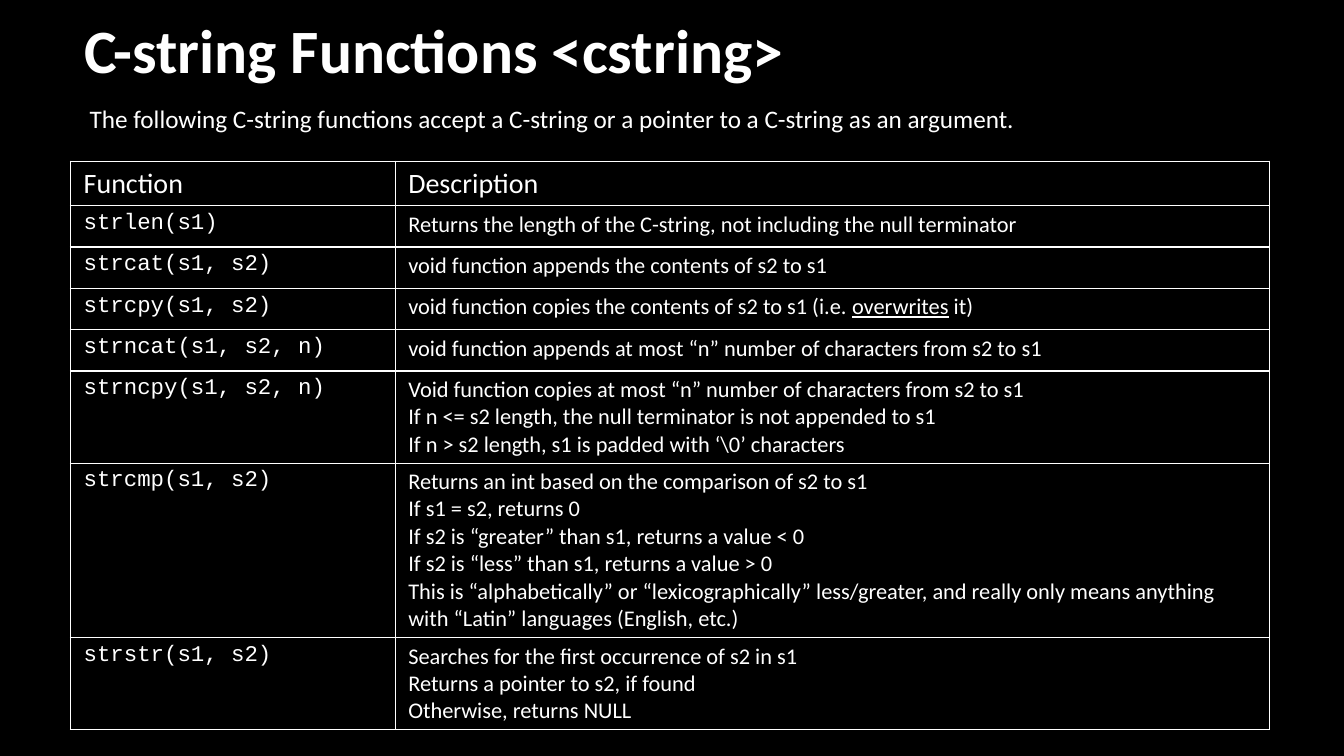
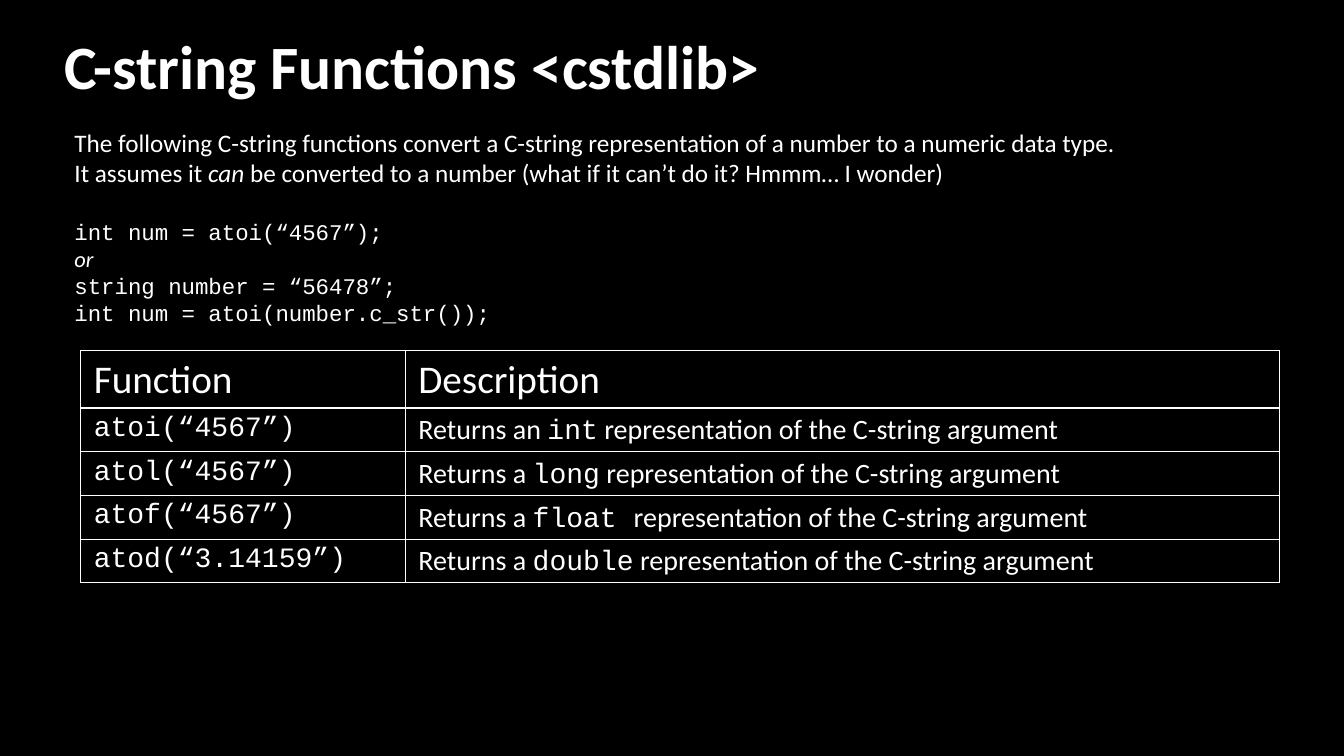
from dataclasses import dataclass

from lxml.etree import SubElement
from pptx import Presentation
from pptx.dml.color import RGBColor
from pptx.enum.text import MSO_ANCHOR
from pptx.oxml.ns import qn
from pptx.util import Inches, Pt

BLACK, WHITE = "000000", "FFFFFF"
BODY_FONT, CODE_FONT = "Calibri", "Courier New"
TITLE_SIZE, INTRO_SIZE, SAMPLE_SIZE = 44, 18, 16
TITLE_BOX = (12.44, 0.91)
COLUMN_WIDTHS = (3.22, 8.67)
ROW_HEIGHT = 0.41
CELL_INSETS = (0.13, 0.05)
BORDER_WIDTH = 1


@dataclass
class Span:
    """A stretch of text that differs from the rest of its line."""
    text: str
    font: str = None
    italic: bool = None
    underline: bool = None


@dataclass
class Line:
    """One paragraph: a list of strings and Spans, with its shared style."""
    spans: list
    size: int
    font: str = BODY_FONT
    bold: bool = None
    italic: bool = None
    spacing: float = None
    before: int = 0


def rgb(hex_colour):
    return RGBColor.from_string(hex_colour)


def write_line(paragraph, line):
    font = paragraph.font
    font.name, font.size = line.font, Pt(line.size)
    font.bold, font.italic = line.bold, line.italic
    font.color.rgb = rgb(WHITE)
    if line.spacing:
        paragraph.line_spacing = line.spacing
    if line.before:
        paragraph.space_before = Pt(line.before)
    for span in line.spans:
        run = paragraph.add_run()
        if isinstance(span, str):
            run.text = span
            continue
        run.text = span.text
        run.font.italic, run.font.underline = span.italic, span.underline
        if span.font:
            run.font.name = span.font


def write_lines(frame, lines):
    for index, line in enumerate(lines):
        paragraph = frame.add_paragraph() if index else frame.paragraphs[0]
        write_line(paragraph, line)


def add_text(slide, box, lines, anchor=MSO_ANCHOR.TOP):
    frame = slide.shapes.add_textbox(*map(Inches, box)).text_frame
    frame.word_wrap = True
    frame.vertical_anchor = anchor
    write_lines(frame, lines)


def add_title(slide, left, top, title):
    add_text(slide, (left, top, *TITLE_BOX),
             [Line([title], TITLE_SIZE, bold=True, spacing=0.9)],
             MSO_ANCHOR.MIDDLE)


# Function tables
def outline_cell(cell):
    properties = cell._tc.get_or_add_tcPr()
    for side in ("a:lnL", "a:lnR", "a:lnT", "a:lnB"):
        border = SubElement(properties, qn(side), w=str(Pt(BORDER_WIDTH)))
        fill = SubElement(border, qn("a:solidFill"))
        SubElement(fill, qn("a:srgbClr"), val=WHITE)


def fill_cell(cell, lines):
    cell.margin_left = cell.margin_right = Inches(CELL_INSETS[0])
    cell.margin_top = cell.margin_bottom = Inches(CELL_INSETS[1])
    outline_cell(cell)
    cell.fill.background()
    write_lines(cell.text_frame, lines)


def add_function_table(slide, left, top, functions, header_size, body_size):
    """functions: pairs of a call and the lines that describe it."""
    row_count = len(functions) + 1
    table = slide.shapes.add_table(
        row_count, len(COLUMN_WIDTHS), Inches(left), Inches(top),
        Inches(sum(COLUMN_WIDTHS)), Inches(ROW_HEIGHT * row_count)).table
    table.first_row = table.horz_banding = False
    for column, width in zip(table.columns, COLUMN_WIDTHS):
        column.width = Inches(width)
    for row in table.rows:
        row.height = Inches(ROW_HEIGHT)
    for column, heading in enumerate(("Function", "Description")):
        fill_cell(table.cell(0, column), [Line([heading], header_size)])
    for row, (call, description) in enumerate(functions, start=1):
        fill_cell(table.cell(row, 0), [Line([call], body_size, CODE_FONT)])
        fill_cell(table.cell(row, 1),
                  [Line(spans, body_size) for spans in description])


# Slide 1: functions that work on C-strings
CSTRING_FUNCTIONS = [
    ("strlen(s1)", [
        ["Returns the length of the C-string, not including the null terminator"]]),
    ("strcat(s1, s2)", [["void function appends the contents of s2 to s1"]]),
    ("strcpy(s1, s2)", [
        ["void function copies the contents of s2 to s1 (i.e. ",
         Span("overwrites", underline=True), " it)"]]),
    ("strncat(s1, s2, n)", [
        ["void function appends at most “n” number of characters from s2 to s1"]]),
    ("strncpy(s1, s2, n)", [
        ["Void function copies at most “n” number of characters from s2 to s1"],
        ["If n <= s2 length, the null terminator is not appended to s1"],
        ["If n > s2 length, s1 is padded with ‘\\0’ characters"]]),
    ("strcmp(s1, s2)", [
        ["Returns an int based on the comparison of s2 to s1"],
        ["If s1 = s2, returns 0"],
        ["If s2 is “greater” than s1, returns a value < 0"],
        ["If s2 is “less” than s1, returns a value > 0"],
        ["This is “alphabetically” or “lexicographically” less/greater, and "
         "really only means anything with “Latin” languages (English, etc.)"]]),
    ("strstr(s1, s2)", [
        ["Searches for the first occurrence of s2 in s1"],
        ["Returns a pointer to s2, if found"],
        ["Otherwise, returns NULL"]]),
]


def build_cstring_slide(slide):
    add_function_table(slide, 0.7, 1.6, CSTRING_FUNCTIONS, 20, 16)
    add_title(slide, 0.74, 0.08, "C-string Functions <cstring>")
    add_text(slide, (0.79, 0.98, 11.78, 0.4), [
        Line(["The following C-string functions accept a C-string or a "
              "pointer to a C-string as an argument."], INTRO_SIZE)])


# Slide 2: functions that convert C-strings to numbers
def conversion(call, article, type_name, rest=" representation"):
    return call, [[f"Returns {article} ", Span(type_name, CODE_FONT),
                   f"{rest} of the C-string argument"]]


CONVERSIONS = [
    conversion("atoi(“4567”)", "an", "int"),
    conversion("atol(“4567”)", "a", "long"),
    conversion("atof(“4567”)", "a", "float ", "representation"),
    conversion("atod(“3.14159”)", "a", "double"),
]


def build_cstdlib_slide(slide):
    add_function_table(slide, 0.8, 3.48, CONVERSIONS, 28, 20)
    add_title(slide, 0.54, 0.23, "C-string Functions <cstdlib>")
    add_text(slide, (0.64, 1.21, 12.09, 2.09), [
        Line(["The following C-string functions convert a C-string "
              "representation of a number to a numeric data type."], INTRO_SIZE),
        Line(["It assumes it ", Span("can ", italic=True),
              "be converted to a number (what if it can’t do it? "
              "Hmmm… I wonder)"], INTRO_SIZE),
        Line(["int num = atoi(“4567”);"], SAMPLE_SIZE, CODE_FONT, before=22),
        Line(["or"], SAMPLE_SIZE, italic=True),
        Line(["string number = “56478”;"], SAMPLE_SIZE, CODE_FONT),
        Line(["int num = atoi(number.c_str());"], SAMPLE_SIZE, CODE_FONT)])


presentation = Presentation()
presentation.slide_width, presentation.slide_height = Inches(13.33), Inches(7.5)
backdrop = presentation.slide_master.background.fill
backdrop.solid()
backdrop.fore_color.rgb = rgb(BLACK)
blank_layout = presentation.slide_layouts[6]
for build_slide in (build_cstring_slide, build_cstdlib_slide):
    build_slide(presentation.slides.add_slide(blank_layout))
presentation.save("out.pptx")
